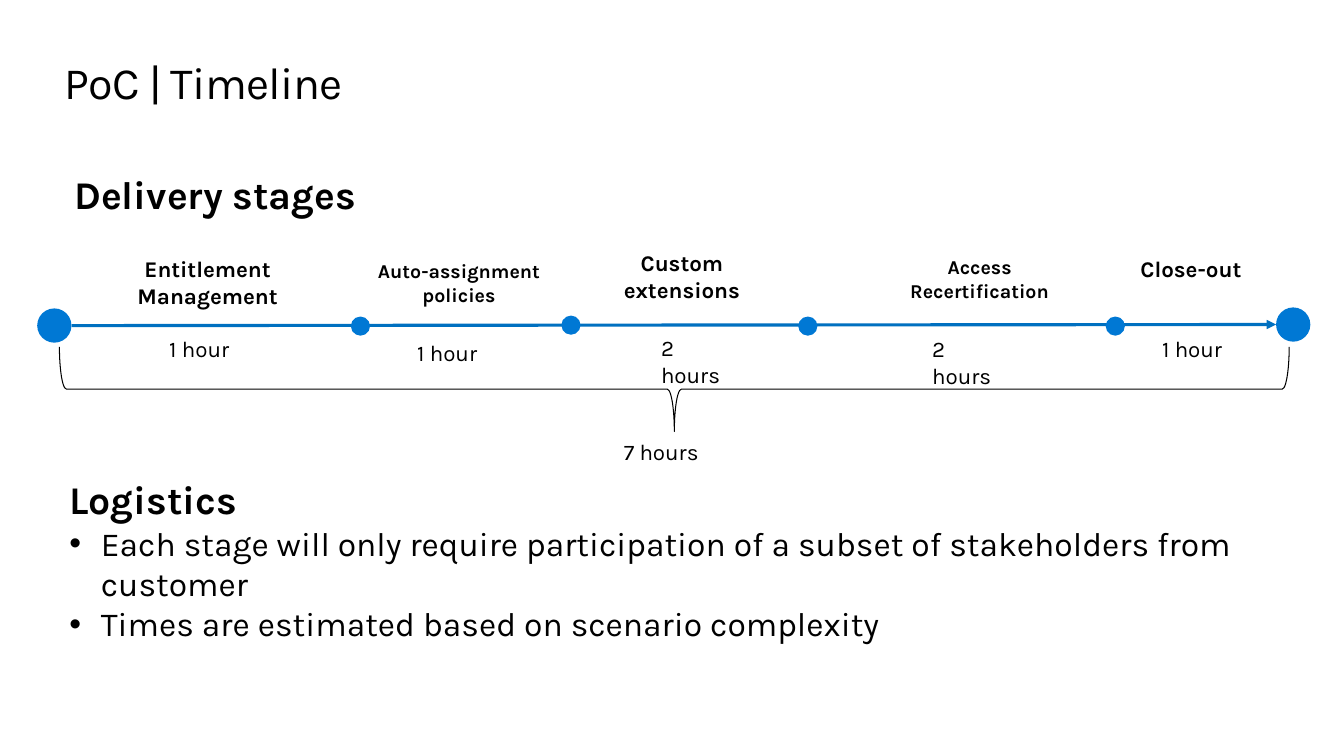
from lxml import etree
from pptx import Presentation
from pptx import util as u
from pptx.dml.color import RGBColor
from pptx.enum import dml, shapes, text
from pptx.oxml.ns import qn

# Content: lengths in points
FONT, BLACK, DOT_BLUE, LINE_BLUE = "Karla", "000000", "0078D4", "0070C0"
TITLE = "PoC | Timeline"
HEADING = "Delivery stages"
TOTAL = "7 hours"
LOGISTICS = "Logistics"
NOTES = [
    "Each stage will only require participation of a subset of stakeholders from customer",
    "Times are estimated based on scenario complexity",
]
# name, size, (left, top, width, height), duration, duration left, duration top
STAGES = [
    ("Entitlement Management", 16, (72.7, 178.6, 151.2, 46), "1 hour", 113.8, 236.2),
    ("Auto-assignment policies", 14, (260.6, 181.4, 134.6, 41), "1 hour", 290.9, 239),
    ("Custom extensions", 16, (419.8, 174.2, 134.6, 46), "2 hours", 465.1, 235.4),
    ("Access Recertification", 14, (624.2, 178.6, 151.2, 41), "2 hours", 658.8, 236.2),
    ("Close-out", 16, (803.5, 178.6, 94.3, 26.6), "1 hour", 823, 236.2),
]
DURATION_SIZE = (67.7, 26.6)
END_DOTS, END_SIZE = [(26.6, 220.3), (911.5, 219.6)], 24.5
STAGE_DOTS, STAGE_SIZE = [(250.6, 226.1), (401, 225.4), (570.2, 226.1), (789.8, 226.1)], 13.7
ARROW = (51.1, 232.6, 911.5, 231.8)
BRACE = (42.5, 247.7, 878.4, 60.5)  # as it appears after turning

deck = Presentation()
deck.slide_width, deck.slide_height = u.Pt(960), u.Pt(540)
page = deck.slides.add_slide(deck.slide_layouts[5])


def color(value):
    return RGBColor.from_string(value)


def points(*values):
    return [u.Pt(value) for value in values]


def add_run(para, words, size, bold=False):
    span = para.add_run()
    span.text = words
    span.font.name, span.font.size, span.font.bold = FONT, u.Pt(size), bold
    span.font.color.rgb = color(BLACK)
    return span


def add_text(place, words, size, bold=False, centred=False):
    box = page.shapes.add_textbox(*points(*place))
    frame = box.text_frame
    frame.word_wrap = True
    frame.auto_size = text.MSO_AUTO_SIZE.SHAPE_TO_FIT_TEXT
    para = frame.paragraphs[0]
    para.alignment = text.PP_ALIGN.CENTER if centred else text.PP_ALIGN.LEFT
    add_run(para, words, size, bold)
    return frame


def add_dot(left, top, size):
    dot = page.shapes.add_shape(shapes.MSO_SHAPE.OVAL, *points(left, top, size, size))
    dot.shadow.inherit = False
    dot.fill.solid()
    dot.fill.fore_color.rgb = color(DOT_BLUE)
    dot.line.fill.background()


# Title
title = page.shapes.title
title.left, title.top, title.width, title.height = points(46.1, 36, 867.6, 43.9)
frame = title.text_frame
frame.margin_left = frame.margin_top = frame.margin_right = frame.margin_bottom = 0
frame.auto_size = text.MSO_AUTO_SIZE.NONE
frame.vertical_anchor = text.MSO_ANCHOR.MIDDLE
frame.paragraphs[0].alignment = text.PP_ALIGN.LEFT
span = add_run(frame.paragraphs[0], TITLE, 32)
span.font._element.set("spc", "-50")

# Timeline arrow and dots
arrow = page.shapes.add_connector(shapes.MSO_CONNECTOR.STRAIGHT, *points(*ARROW))
arrow.line.color.rgb = color(LINE_BLUE)
arrow.line.width = u.Pt(2.25)
etree.SubElement(arrow.line._get_or_add_ln(), qn("a:tailEnd"), type="triangle")
etree.SubElement(arrow._element.spPr, qn("a:effectLst"))
for dots, size in ((END_DOTS, END_SIZE), (STAGE_DOTS, STAGE_SIZE)):
    for left, top in dots:
        add_dot(left, top, size)

# Stage names and durations
add_text((46.1, 118.1, 532.8, 41), HEADING, 28, bold=True)
for name, size, place, duration, left, top in STAGES:
    add_text(place, name, size, bold=True, centred=True)
    add_text((left, top, *DURATION_SIZE), duration, 16)

# Brace over the whole timeline: turned a quarter about its centre
left, top, width, height = BRACE
shift = (width - height) / 2
brace = page.shapes.add_shape(
    shapes.MSO_SHAPE.LEFT_BRACE, *points(left + shift, top - shift, height, width))
brace.rotation = 90
brace._element.spPr.get_or_add_xfrm().set("flipH", "1")
brace.shadow.inherit = False
brace.fill.background()
brace.line.color.rgb = color(BLACK)
brace.line.width = u.Pt(0.75)
brace.line.dash_style = dml.MSO_LINE.SOLID
add_text((438.5, 309.6, *DURATION_SIZE), TOTAL, 16)

# Logistics
frame = add_text((42.5, 336.2, 885.6, 157.7), LOGISTICS, 28, bold=True)
for note in NOTES:
    para = frame.add_paragraph()
    props = para._p.get_or_add_pPr()
    indent = u.Pt(22.5)
    props.set("marL", str(indent))
    props.set("indent", str(-indent))
    etree.SubElement(props, qn("a:buFont"), typeface="Arial")
    etree.SubElement(props, qn("a:buChar"), char="•")
    add_run(para, note, 24)

deck.save("out.pptx")
